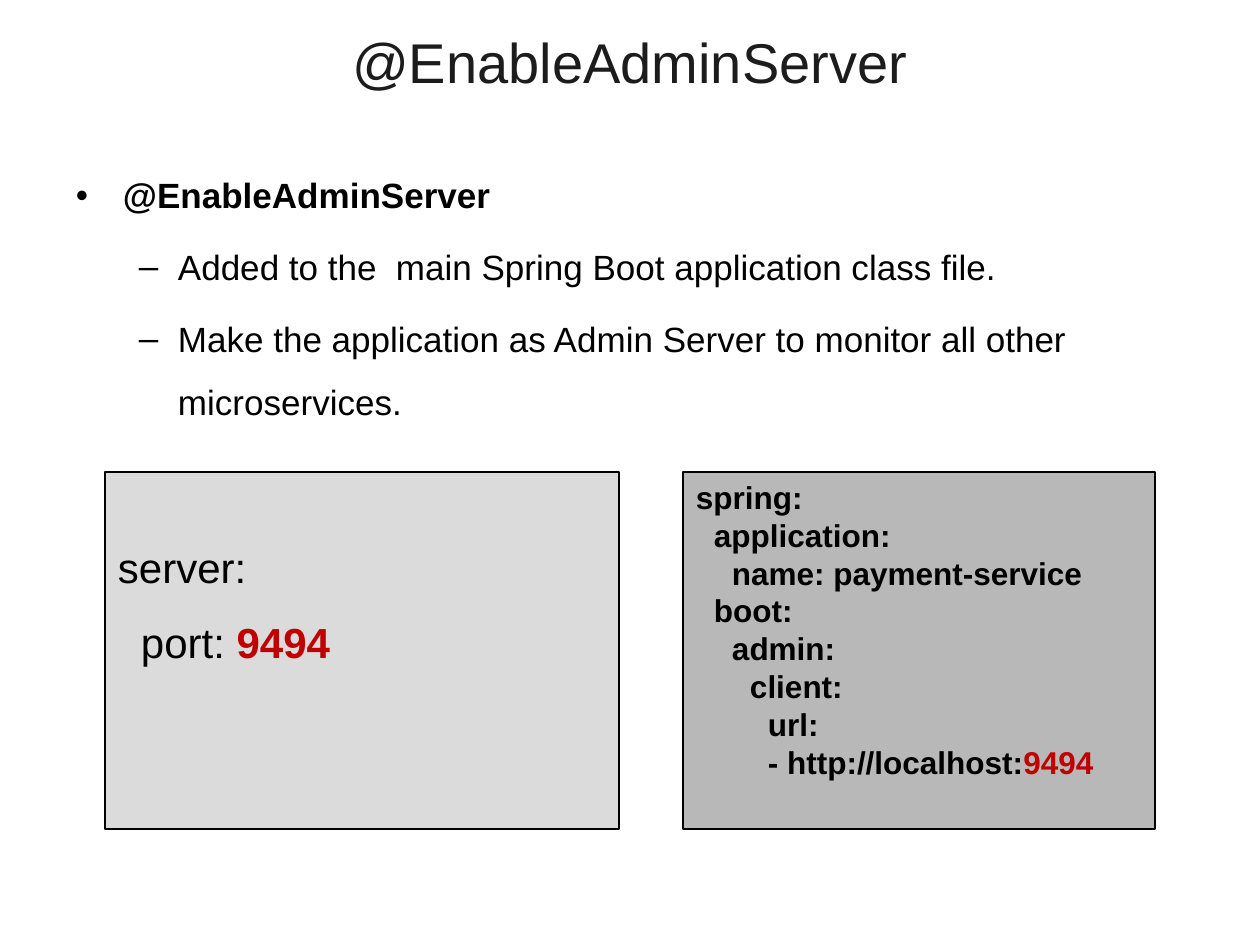
import pptx
import pptx.dml.color
import pptx.enum.shapes
import pptx.enum.text
import pptx.util
from lxml import etree

EMU_PER_PX = 914400 / 126
ALIGN = pptx.enum.text.PP_ALIGN
ANCHOR = pptx.enum.text.MSO_ANCHOR
BLACK, RED = "000000", "C00000"


def px(length):
    return pptx.util.Emu(round(length * EMU_PER_PX))


def color(value):
    return pptx.dml.color.RGBColor.from_string(value)


def set_values(target, values):
    for name, value in values.items():
        setattr(target, name, value)


def set_frame(frame, anchor=ANCHOR.TOP, top=6):
    set_values(frame, {
        "word_wrap": True, "vertical_anchor": anchor,
        "margin_left": px(13), "margin_right": px(13),
        "margin_top": px(top), "margin_bottom": px(6),
    })


def add_para(frame, spans, size, indent=0, hanging=0, bullet=None, **values):
    """Append a paragraph; spans are (text, colour, bold) triples."""
    first = frame.paragraphs[0]
    para = frame.add_paragraph() if first.runs else first
    set_values(para, {"alignment": ALIGN.LEFT, **values})
    properties = para._p.get_or_add_pPr()
    properties.set("marL", str(px(indent)))
    properties.set("indent", str(px(-hanging)))
    if bullet:
        namespace = "{%s}" % properties.nsmap["a"]
        etree.SubElement(properties, namespace + "buFont", typeface="Arial")
        etree.SubElement(properties, namespace + "buChar", char=bullet)
    for text, hue, bold in spans:
        span = para.add_run()
        span.text = text
        set_values(span.font, {"name": "Arial", "size": pptx.util.Pt(size), "bold": bold})
        span.font.color.rgb = color(hue)


def add_title(page, box, text):
    frame = page.shapes.add_textbox(*map(px, box)).text_frame
    set_frame(frame, ANCHOR.MIDDLE)
    add_para(frame, [(text, "1C1C1C", False)], 32, alignment=ALIGN.CENTER)


def add_bullets(page, box, heading, points):
    frame = page.shapes.add_textbox(*map(px, box)).text_frame
    set_frame(frame)
    spacing = {"line_spacing": 1.5, "space_before": pptx.util.Pt(5)}
    add_para(frame, [(heading, BLACK, True)], 20, 47, 47, "•", **spacing)
    for point in points:
        add_para(frame, [(point, BLACK, False)], 20, 102, 39, "–", level=1, **spacing)


def add_code(page, box, fill, lines, size, step, top=6, **values):
    """Draw a code panel; lines are (depth, spans), indented by step px per depth."""
    panel = page.shapes.add_shape(pptx.enum.shapes.MSO_SHAPE.RECTANGLE, *map(px, box))
    panel.shadow.inherit = False
    panel.fill.solid()
    panel.fill.fore_color.rgb = color(fill)
    panel.line.color.rgb = color(BLACK)
    panel.line.width = pptx.util.Pt(1)
    set_frame(panel.text_frame, top=top)
    for depth, spans in lines:
        add_para(panel.text_frame, spans, size, depth * step, **values)


def main():
    deck = pptx.Presentation()
    deck.slide_width, deck.slide_height = px(1260), px(945)
    page = deck.slides.add_slide(deck.slide_layouts[6])

    add_title(page, (63, 23, 1134, 76), "@EnableAdminServer")
    add_bullets(page, (63, 147, 1134, 310), "@EnableAdminServer", [
        "Added to the  main Spring Boot application class file.",
        "Make the application as Admin Server to monitor all other microservices.",
    ])

    server = [
        (0, [("server:", BLACK, False)]),
        (1, [("port: ", BLACK, False), ("9494", RED, True)]),
    ]
    add_code(page, (105, 472, 514, 357), "DBDBDB", server, 24, 23, top=44, line_spacing=1.5)

    keys = [(0, "spring:"), (1, "application:"), (2, "name: payment-service"),
            (1, "boot:"), (2, "admin:"), (3, "client:"), (4, "url:")]
    client = [(depth, [(text, BLACK, True)]) for depth, text in keys]
    client.append((4, [("- http://localhost:", BLACK, True), ("9494", RED, True)]))
    add_code(page, (683, 472, 472, 357), "B8B8B8", client, 18, 18)

    deck.save("out.pptx")


if __name__ == "__main__":
    main()
